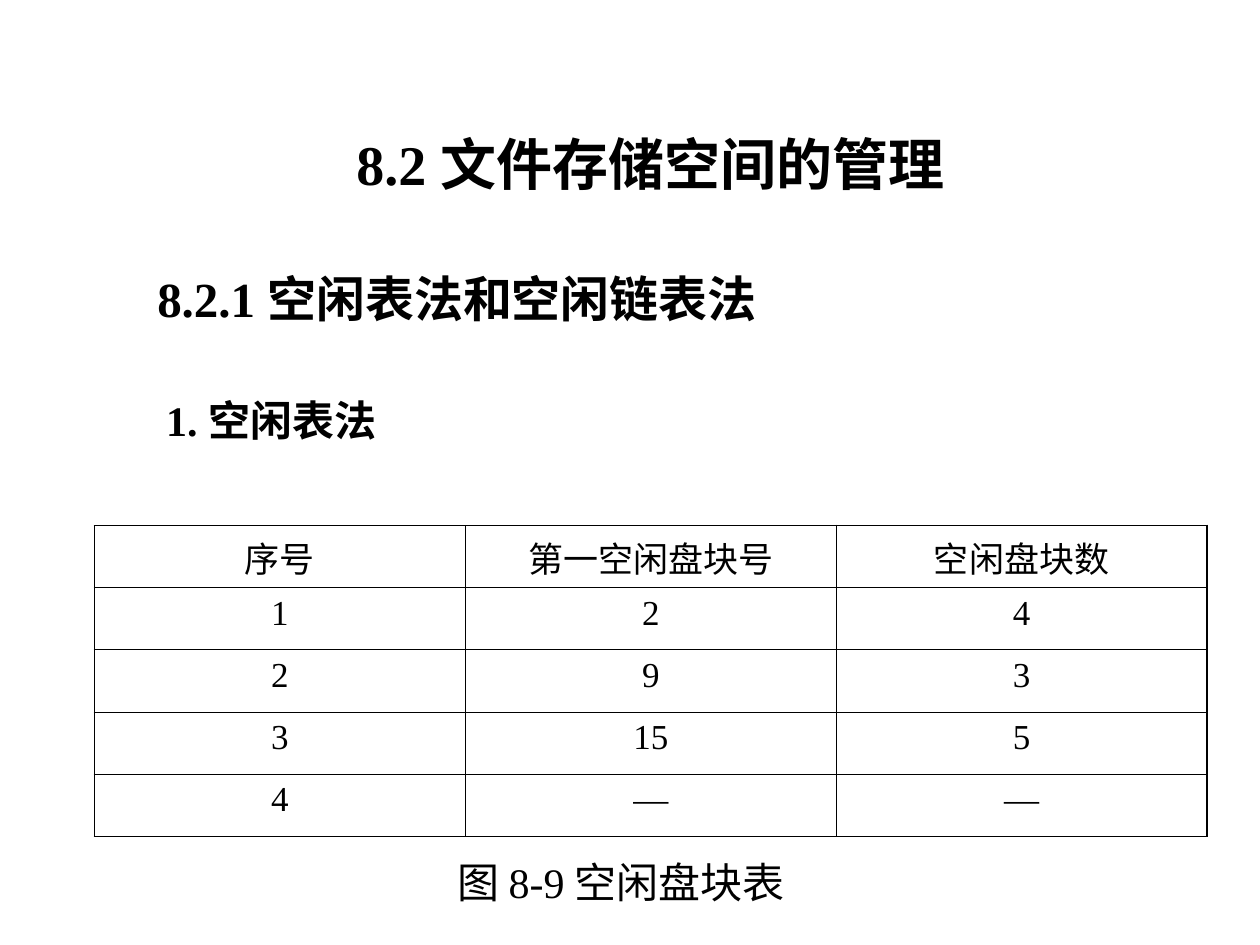
from dataclasses import dataclass

from pptx import Presentation
from pptx.dml.color import RGBColor
from pptx.enum.text import MSO_AUTO_SIZE as AutoSize, PP_ALIGN as Align
from pptx.oxml.xmlchemy import OxmlElement as Element
from pptx.util import Inches, Pt


@dataclass(frozen=True)
class Theme:
    ink: str = "000000"
    font: str = "Times New Roman"
    title: int = 32
    section: int = 28
    body: int = 24
    cell: int = 20
    outer: float = 1.08
    inner: float = 0.45


THEME = Theme()

HEADINGS = [
    ("8.2 文件存储空间的管理", (2.73, 0.98, 5.08, 0.64), THEME.title, True),
    ("8.2.1 空闲表法和空闲链表法", (1.15, 2.08, 5.14, 0.57), THEME.section, True),
    ("1. 空闲表法", (1.22, 3.08, 2.02, 0.5), THEME.body, True),
]
CAPTION = ("图 8-9 空闲盘块表", (3.53, 6.75, 3.03, 0.5), THEME.body, False)

FREE_BLOCKS = [
    ("序号", "第一空闲盘块号", "空闲盘块数"),
    ("1", "2", "4"),
    ("2", "9", "3"),
    ("3", "15", "5"),
    ("4", "—", "—"),
]


def add_run(p, text, size, bold=False):
    r = p.add_run()
    r.text = text
    style = {"name": THEME.font, "size": Pt(size), "bold": bold}
    for name, value in style.items():
        setattr(r.font, name, value)
    r.font.color.rgb = RGBColor.from_string(THEME.ink)


def add_line(s, text, box, size, bold):
    tf = s.shapes.add_textbox(*map(Inches, box)).text_frame
    for name, value in {"word_wrap": False, "auto_size": AutoSize.SHAPE_TO_FIT_TEXT}.items():
        setattr(tf, name, value)
    add_run(tf.paragraphs[0], text, size, bold)


def set_border(cell, side, width):
    ln = Element(f"a:{side}")
    ln.set("w", str(Pt(width)))
    fill = Element("a:solidFill")
    color = Element("a:srgbClr")
    color.set("val", THEME.ink)
    fill.append(color)
    ln.append(fill)
    cell._tc.get_or_add_tcPr().append(ln)


def add_block_table(s, rows, box):
    n_rows, n_cols = len(rows), len(rows[0])
    table = s.shapes.add_table(n_rows, n_cols, *map(Inches, box)).table
    table.first_row = table.horz_banding = False
    for i, row in enumerate(rows):
        for j, text in enumerate(row):
            cell = table.cell(i, j)
            p = cell.text_frame.paragraphs[0]
            for name, value in {"alignment": Align.CENTER, "space_before": Pt(5)}.items():
                setattr(p, name, value)
            add_run(p, text, THEME.cell)
            # Heavier lines run round the outside, save over the first heading
            outside = {
                "lnL": j == 0,
                "lnR": j == n_cols - 1,
                "lnT": i == 0 and j > 0,
                "lnB": i == n_rows - 1,
            }
            for side, heavy in outside.items():
                set_border(cell, side, THEME.outer if heavy else THEME.inner)
            cell.fill.background()


def main():
    prs = Presentation()
    prs.slide_width, prs.slide_height = Inches(10), Inches(7.5)
    s = prs.slides.add_slide(prs.slide_layouts[6])

    # Headings and caption
    for line in [*HEADINGS, CAPTION]:
        add_line(s, *line)

    # Free block table
    add_block_table(s, FREE_BLOCKS, (0.75, 4.17, 8.83, 2.47))

    prs.save("out.pptx")


if __name__ == "__main__":
    main()
